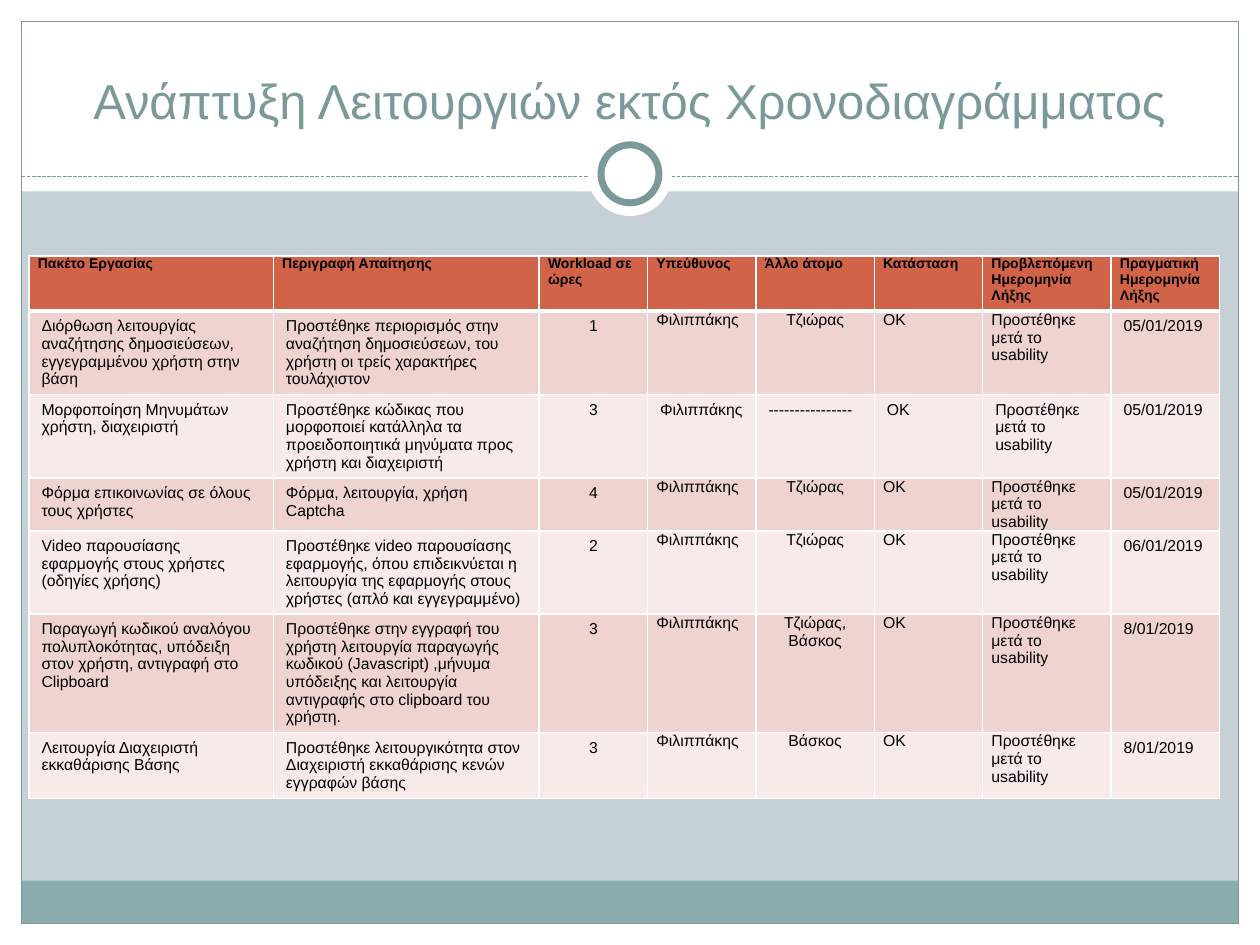
from lxml import etree
from pptx import Presentation
from pptx import util as u
from pptx.dml.color import RGBColor
from pptx.enum import dml, shapes, text
from pptx.oxml.ns import qn

WIDTH, HEIGHT = 10, 7.5
MARGIN = 0.17
WHITE, TEAL, BAND, SKY = "FFFFFF", "7C999A", "8CADAE", "C5D1D7"
HEADER_FILL, ROW_FILLS = "D16349", ("EED3D0", "F7EAE9")

TITLE = "Ανάπτυξη Λειτουργιών εκτός Χρονοδιαγράμματος"
HEADERS = ["Πακέτο Εργασίας", "Περιγραφή Απαίτησης", "Workload σε ώρες", "Υπεύθυνος",
           "Άλλο άτομο", "Κατάσταση", "Προβλεπόμενη Ημερομηνία Λήξης",
           "Πραγματική Ημερομηνία Λήξης"]
OWNER, STATUS, EXPECTED = "Φιλιππάκης", "ΟΚ", "Προστέθηκε μετά το usability"
NOBODY = "----------------"
TASKS = [
    ("Διόρθωση λειτουργίας αναζήτησης δημοσιεύσεων, εγγεγραμμένου χρήστη στην βάση",
     "Προστέθηκε περιορισμός στην αναζήτηση δημοσιεύσεων, του χρήστη οι τρείς χαρακτήρες τουλάχιστον",
     "1", "Τζιώρας", "05/01/2019"),
    ("Μορφοποίηση Μηνυμάτων χρήστη, διαχειριστή",
     "Προστέθηκε κώδικας που μορφοποιεί κατάλληλα τα προειδοποιητικά μηνύματα προς χρήστη και διαχειριστή",
     "3", NOBODY, "05/01/2019"),
    ("Φόρμα επικοινωνίας σε όλους τους χρήστες", "Φόρμα, λειτουργία, χρήση Captcha",
     "4", "Τζιώρας", "05/01/2019"),
    ("Video παρουσίασης εφαρμογής στους χρήστες (οδηγίες χρήσης)",
     "Προστέθηκε video παρουσίασης εφαρμογής, όπου επιδεικνύεται η λειτουργία της εφαρμογής στους χρήστες (απλό και εγγεγραμμένο)",
     "2", "Τζιώρας", "06/01/2019"),
    ("Παραγωγή κωδικού αναλόγου πολυπλοκότητας, υπόδειξη στον χρήστη, αντιγραφή στο Clipboard",
     "Προστέθηκε στην εγγραφή του χρήστη λειτουργία παραγωγής κωδικού (Javascript) ,μήνυμα υπόδειξης και λειτουργία αντιγραφής στο clipboard του χρήστη.",
     "3", "Τζιώρας, Βάσκος", "8/01/2019"),
    ("Λειτουργία Διαχειριστή εκκαθάρισης Βάσης",
     "Προστέθηκε λειτουργικότητα στον Διαχειριστή εκκαθάρισης κενών εγγραφών βάσης",
     "3", "Βάσκος", "8/01/2019"),
]
COLUMNS = [1.94, 2.11, 0.86, 0.86, 0.94, 0.86, 1.02, 0.86]
HEADER_HEIGHT, ROW_HEIGHT = 0.44, 0.41
HOURS, OTHER, COMPACT = 2, 4, range(3, 7)


def color(value):
    return RGBColor.from_string(value)


def write(frame, content, size=9, fill="000000", bold=False, centered=False):
    paragraph = frame.paragraphs[0]
    paragraph.alignment = text.PP_ALIGN.CENTER if centered else text.PP_ALIGN.LEFT
    run = paragraph.add_run()
    run.text = content
    run.font.name, run.font.size, run.font.bold = "Arial", u.Pt(size), bold
    run.font.color.rgb = color(fill)


def draw(slide, kind, left, top, width, height, fill=None, line=None, weight=0.75):
    shape = slide.shapes.add_shape(kind, *map(u.Inches, (left, top, width, height)))
    shape.shadow.inherit = False
    if fill:
        shape.fill.solid()
        shape.fill.fore_color.rgb = color(fill)
    else:
        shape.fill.background()
    if line:
        shape.line.color.rgb = color(line)
        shape.line.width = u.Pt(weight)
    else:
        shape.line.fill.background()


def draw_frame(slide):
    rectangle, oval = shapes.MSO_SHAPE.RECTANGLE, shapes.MSO_SHAPE.OVAL
    inner = WIDTH - 2 * MARGIN
    for box in ((0, HEIGHT - MARGIN, WIDTH, MARGIN), (0, 0, WIDTH, 1.52),
                (0, 0, MARGIN, HEIGHT), (WIDTH - MARGIN, 0, MARGIN, HEIGHT)):
        draw(slide, rectangle, *box, fill=WHITE)
    draw(slide, rectangle, MARGIN, 6.99, inner, 0.34, fill=BAND)
    draw(slide, rectangle, MARGIN, MARGIN, inner, HEIGHT - 2 * MARGIN, line=TEAL)

    divider = slide.shapes.add_connector(
        shapes.MSO_CONNECTOR.STRAIGHT,
        *map(u.Inches, (MARGIN, 1.4, WIDTH - MARGIN, 1.4)))
    divider.line.color.rgb = color(TEAL)
    divider.line.width = u.Pt(0.75)
    divider.line.dash_style = dml.MSO_LINE.SQUARE_DOT
    etree.SubElement(divider._element.spPr, qn("a:effectLst"))

    for diameter, line in ((0.67, None), (0.46, TEAL)):
        draw(slide, oval, (WIDTH - diameter) / 2, 1.38 - diameter / 2,
             diameter, diameter, WHITE, line, 4)


def set_borders(cell, bottom):
    properties = cell._tc.get_or_add_tcPr()
    weights = {"lnL": 1, "lnR": 1, "lnT": 1, "lnB": bottom}
    for position, (side, weight) in enumerate(weights.items()):
        line = etree.Element(qn(f"a:{side}"), w=str(u.Pt(weight)))
        fill = etree.SubElement(line, qn("a:solidFill"))
        etree.SubElement(fill, qn("a:srgbClr"), val=WHITE)
        properties.insert(position, line)


def fill_cell(cell, content, fill, compact, bottom=1, **style):
    cell.fill.solid()
    cell.fill.fore_color.rgb = color(fill)
    if compact:
        cell.margin_left = cell.margin_right = u.Inches(0.07)
        cell.margin_top = cell.margin_bottom = 0
    set_borders(cell, bottom)
    write(cell.text_frame, content, **style)


def add_task_table(slide):
    frame = slide.shapes.add_table(
        len(TASKS) + 1, len(COLUMNS), u.Inches(0.23), u.Inches(2.03),
        u.Inches(sum(COLUMNS)), u.Inches(HEADER_HEIGHT + ROW_HEIGHT * len(TASKS)))
    table = frame.table
    for column, width in zip(table.columns, COLUMNS):
        column.width = u.Inches(width)
    for index, row in enumerate(table.rows):
        row.height = u.Inches(ROW_HEIGHT if index else HEADER_HEIGHT)
    for column, header in enumerate(HEADERS):
        fill_cell(table.cell(0, column), header, HEADER_FILL, True, bottom=3, size=8, bold=True)
    for index, (task, details, hours, other, finished) in enumerate(TASKS):
        values = (task, details, hours, OWNER, other, STATUS, EXPECTED, finished)
        for column, value in enumerate(values):
            compact = column in COMPACT and other != NOBODY
            fill_cell(table.cell(index + 1, column), value, ROW_FILLS[index % 2], compact,
                      centered=column == HOURS or (column == OTHER and compact))


def main():
    """Build the slide of features developed outside the schedule."""
    presentation = Presentation()
    presentation.slide_width, presentation.slide_height = u.Inches(WIDTH), u.Inches(HEIGHT)
    slide = presentation.slides.add_slide(presentation.slide_layouts[5])
    slide.background.fill.solid()
    slide.background.fill.fore_color.rgb = color(SKY)
    draw_frame(slide)

    title = slide.shapes.title
    title.left, title.top, title.width, title.height = map(u.Inches, (0.33, 0.25, 9.33, 0.83))
    title.text_frame.vertical_anchor = text.MSO_ANCHOR.BOTTOM
    write(title.text_frame, TITLE, size=28, fill=TEAL, centered=True)
    slide.shapes._spTree.append(title._element)

    add_task_table(slide)
    presentation.save("out.pptx")


if __name__ == "__main__":
    main()
